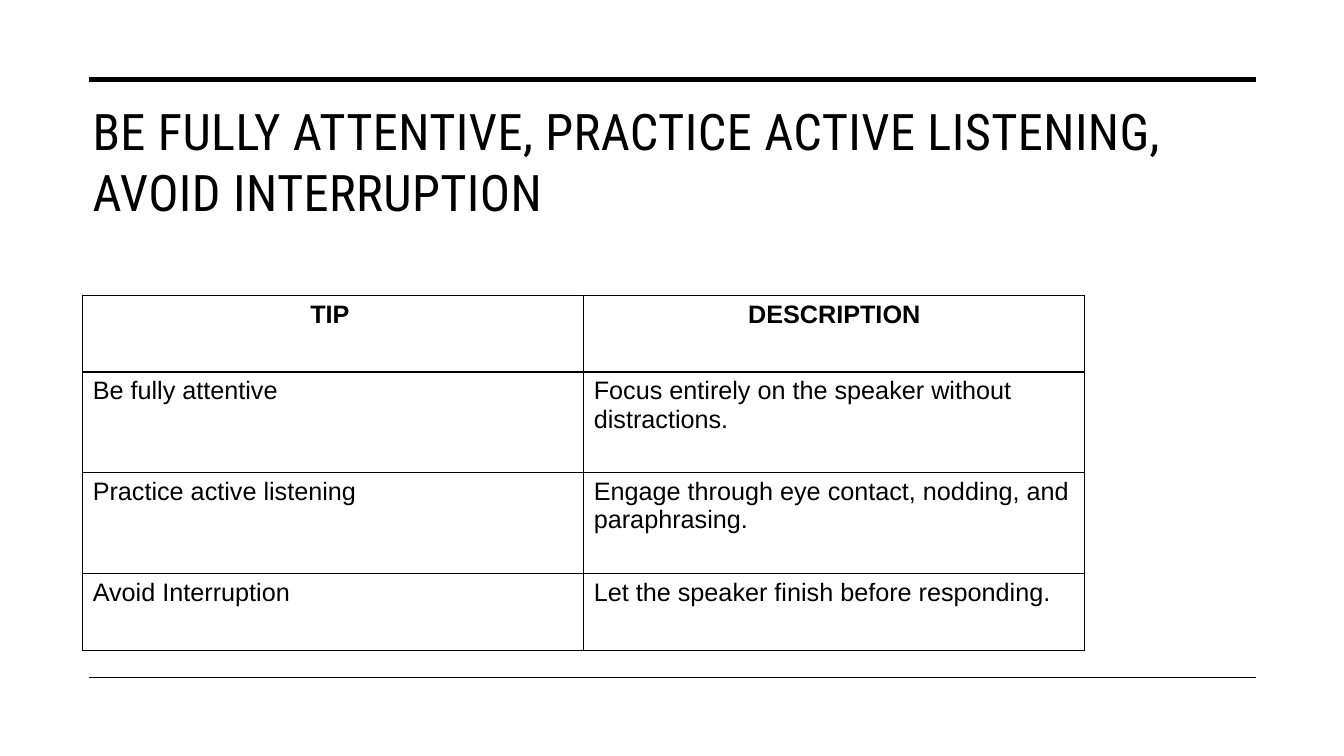
from pptx import Presentation
from pptx.dml.color import RGBColor
from pptx.enum.shapes import MSO_CONNECTOR
from pptx.enum.text import MSO_ANCHOR, PP_ALIGN
from pptx.oxml import parse_xml
from pptx.oxml.ns import nsdecls
from pptx.util import Inches, Pt

# Content
TITLE = "BE FULLY ATTENTIVE, PRACTICE ACTIVE LISTENING, AVOID INTERRUPTION"
TIPS = [
    ("TIP ", "DESCRIPTION"),
    ("Be fully attentive", "Focus entirely on the speaker without distractions."),
    ("Practice active listening", "Engage through eye contact, nodding, and paraphrasing."),
    ("Avoid Interruption", "Let the speaker finish before responding."),
]
ROW_HEIGHTS = (0.76, 1.0, 1.0, 0.76)
COL_WIDTH = 4.97
RULES = [(0.79, 3.5), (6.72, 1)]  # height on the slide, line width


class Theme:
    ink = RGBColor(0, 0, 0)
    title_font, title_size = "Roboto Condensed", Pt(36)
    body_font, body_size = "Arial", Pt(18)
    title_spacing = "30"  # hundredths of a point
    border = Pt(1)


def set_font(p, name, size, bold=False):
    p.font.name, p.font.size, p.font.bold = name, size, bold
    p.font.color.rgb = Theme.ink


def add_borders(cell):
    tc_pr = cell._tc.get_or_add_tcPr()
    for i, side in enumerate(("lnL", "lnR", "lnT", "lnB")):
        tc_pr.insert(i, parse_xml(
            f'<a:{side} {nsdecls("a")} w="{Theme.border}"><a:solidFill>'
            f'<a:srgbClr val="{Theme.ink}"/></a:solidFill></a:{side}>'))


prs = Presentation()
prs.slide_width, prs.slide_height = Inches(13.33), Inches(7.5)
s = prs.slides.add_slide(prs.slide_layouts[6])

# Rules above and below the content
for y, width in RULES:
    rule = s.shapes.add_connector(
        MSO_CONNECTOR.STRAIGHT, Inches(0.88), Inches(y), Inches(12.46), Inches(y))
    rule.line.color.rgb, rule.line.width = Theme.ink, Pt(width)
    rule._element.spPr.append(parse_xml(f'<a:effectLst {nsdecls("a")}/>'))

# Title
tf = s.shapes.add_textbox(
    Inches(0.82), Inches(0.94), Inches(10.98), Inches(1.31)).text_frame
tf.word_wrap, tf.vertical_anchor = True, MSO_ANCHOR.MIDDLE
p = tf.paragraphs[0]
r = p.add_run()
r.text = TITLE
r._r.get_or_add_rPr().set("spc", Theme.title_spacing)
set_font(p, Theme.title_font, Theme.title_size)

# Table of tips
table = s.shapes.add_table(
    len(TIPS), len(TIPS[0]), Inches(0.82), Inches(2.93),
    Inches(COL_WIDTH * len(TIPS[0])), Inches(sum(ROW_HEIGHTS))).table
table.horz_banding = False
for col in table.columns:
    col.width = Inches(COL_WIDTH)
for i, (texts, height) in enumerate(zip(TIPS, ROW_HEIGHTS)):
    table.rows[i].height = Inches(height)
    for j, text in enumerate(texts):
        cell = table.cell(i, j)
        cell.text = text
        cell.fill.background()
        add_borders(cell)
        p = cell.text_frame.paragraphs[0]
        p.alignment = PP_ALIGN.CENTER if i == 0 else PP_ALIGN.LEFT
        set_font(p, Theme.body_font, Theme.body_size, bold=i == 0)

prs.save("out.pptx")
